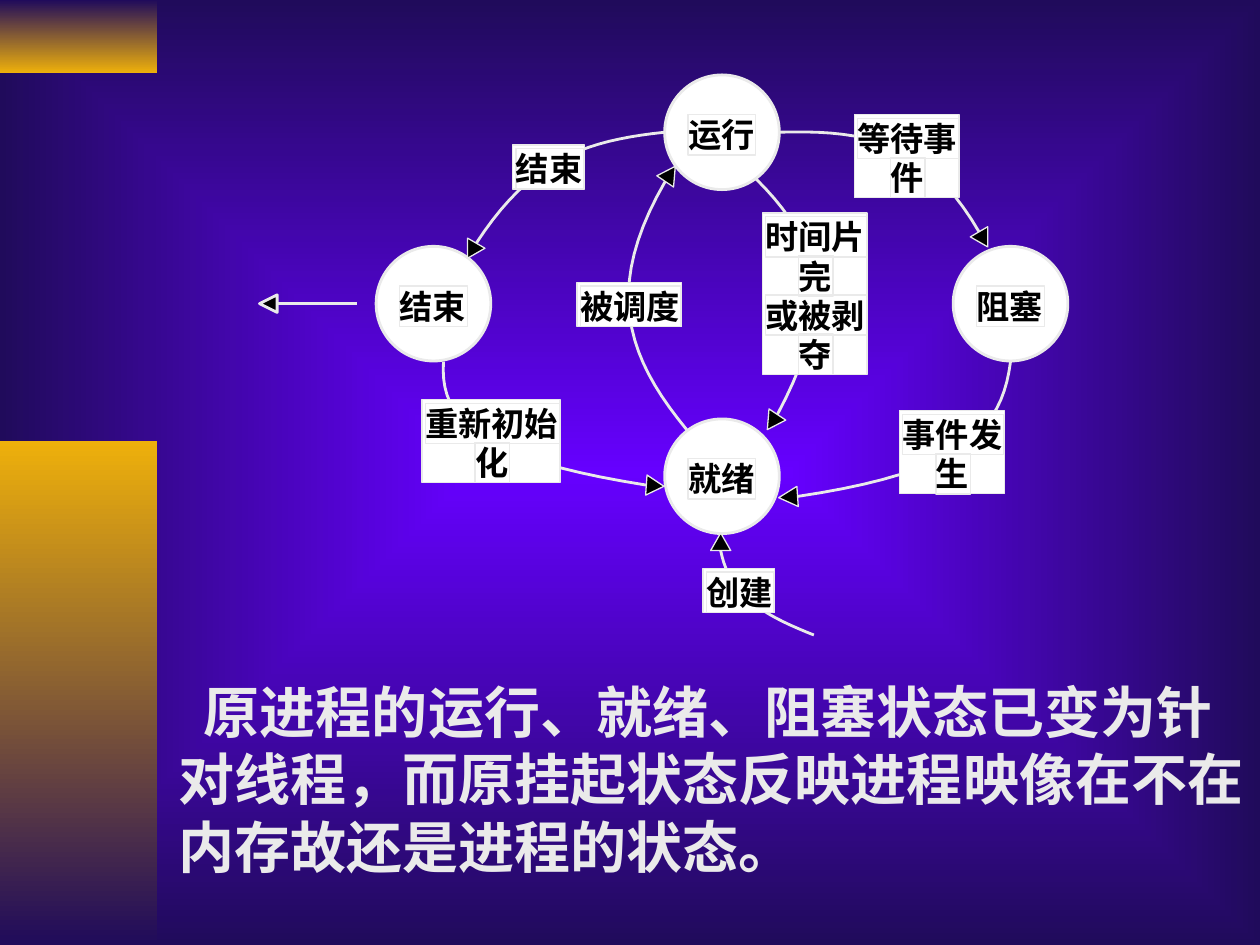
from math import hypot

from lxml.etree import SubElement
from pptx import Presentation
from pptx.dml.color import RGBColor
from pptx.enum.shapes import MSO_CONNECTOR, MSO_SHAPE
from pptx.enum.text import MSO_ANCHOR, MSO_AUTO_SIZE, PP_ALIGN
from pptx.oxml.ns import qn
from pptx.util import Inches, Pt

VIOLET = RGBColor(0x66, 0x00, 0xFF)
NAVY = RGBColor(0x20, 0x0B, 0x5B)
GOLD = RGBColor(0xEE, 0xB0, 0x0B)
PALE = RGBColor(0xEA, 0xEA, 0xEA)
WHITE = RGBColor(0xFF, 0xFF, 0xFF)
BLACK = RGBColor(0x00, 0x00, 0x00)

STATES = [("运行", 5.73, 1.05), ("就绪", 5.73, 3.78), ("结束", 3.44, 2.41), ("阻塞", 8.02, 2.41)]

TRANSITIONS = [
    (["结束"], (4.07, 1.15),
     [(5.27, 1.05), (4.7, 1.16), (4.22, 1.42), (3.78, 1.93)], (3.71, 2.05)),
    (["被调度"], (4.58, 2.24),
     [(5.45, 3.41), (5.08, 2.82), (5, 2.19), (5.28, 1.44)], (5.36, 1.32)),
    (["时间片", "完", "或被剥", "夺"], (6.05, 1.69),
     [(6, 1.42), (6.38, 1.94), (6.45, 2.53), (6.17, 3.29)], (6.09, 3.41)),
    (["等待事", "件"], (6.78, 0.91),
     [(6.18, 1.05), (6.83, 1.09), (7.34, 1.32), (7.77, 1.84)], (7.84, 1.96)),
    (["事件发", "生"], (7.14, 3.26),
     [(8.02, 2.87), (7.84, 3.35), (7.33, 3.7), (6.33, 3.94)], (6.18, 3.95)),
    (["重新初始", "化"], (3.35, 3.17),
     [(3.52, 2.87), (3.63, 3.29), (4.12, 3.61), (5.13, 3.85)], (5.27, 3.86)),
    (["创建"], (5.58, 4.51),
     [(6.46, 5.04), (6.08, 4.86), (5.84, 4.65), (5.72, 4.37)], (5.72, 4.23)),
]

SUMMARY = "原进程的运行、就绪、阻塞状态已变为针对线程，而原挂起状态反映进程映像在不在内存故还是进程的状态。"


def cubic_through(points, steps=20):
    """Sample the cubic that meets four points at equal parameter steps."""
    samples = []
    for step in range(steps + 1):
        t = 3 * step / steps
        weights = [
            (1 - t) * (2 - t) * (3 - t) / 6,
            t * (2 - t) * (3 - t) / 2,
            t * (t - 1) * (3 - t) / 2,
            t * (t - 1) * (t - 2) / 6,
        ]
        samples.append(tuple(sum(w * p[axis] for w, p in zip(weights, points)) for axis in (0, 1)))
    return samples


class StateDiagram:
    """Draws the parts of a state diagram on one slide in one style."""

    font = "Noto Sans CJK SC"
    text_size = 19
    glyph = Pt(text_size).inches
    slack = 0.01
    line_height = 0.32
    pitch = 0.31
    thin = 0.75
    thick = 1.62

    def __init__(self, slide):
        self.slide = slide
        self.shapes = slide.shapes

    def outline(self, shape, weight):
        shape.line.color.rgb = PALE
        shape.line.width = Pt(weight)

    def gradient(self, fill, first, last):
        fill.gradient()
        for stop, color in zip(fill.gradient_stops, (first, last)):
            stop.color.rgb = color

    def background(self, centre, edge):
        self.gradient(self.slide.background.fill, centre, edge)
        linear = next(self.slide.element.iter(qn("a:lin")))
        gradient = linear.getparent()
        gradient.remove(linear)
        radial = SubElement(gradient, qn("a:path"), path="rect")
        SubElement(radial, qn("a:fillToRect"), l="50000", t="50000", r="50000", b="50000")

    def preset(self, kind, left, top, width, height):
        shape = self.shapes.add_shape(
            kind, Inches(left), Inches(top), Inches(width), Inches(height))
        shape.shadow.inherit = False
        return shape

    def bar(self, top, height, first, last):
        bar = self.preset(MSO_SHAPE.RECTANGLE, 0, top, 1.25, height)
        bar.line.fill.background()
        self.gradient(bar.fill, first, last)
        bar.fill.gradient_angle = 270

    def panel(self, kind, left, top, width, height, weight):
        panel = self.preset(kind, left, top, width, height)
        panel.fill.solid()
        panel.fill.fore_color.rgb = WHITE
        self.outline(panel, weight)

    def style(self, paragraph, size, color):
        font = paragraph.font
        font.name, font.size, font.bold = self.font, Pt(size), True
        font.color.rgb = color
        defaults = paragraph._p.pPr.find(qn("a:defRPr"))
        SubElement(defaults, qn("a:ea"), typeface=self.font)

    def caption(self, text, centre, top):
        width = self.glyph * len(text) + self.slack
        box = self.preset(
            MSO_SHAPE.RECTANGLE, centre - width / 2, top, width, self.line_height)
        box.fill.background()
        self.outline(box, self.thin)
        frame = box.text_frame
        frame.margin_left = frame.margin_right = frame.margin_top = frame.margin_bottom = 0
        frame.vertical_anchor = MSO_ANCHOR.TOP
        frame.word_wrap = False
        frame.auto_size = MSO_AUTO_SIZE.SHAPE_TO_FIT_TEXT
        frame.text = text
        paragraph = frame.paragraphs[0]
        paragraph.alignment = PP_ALIGN.LEFT
        self.style(paragraph, self.text_size, BLACK)

    def state(self, name, x, y, diameter=0.91):
        radius = diameter / 2
        self.panel(MSO_SHAPE.OVAL, x - radius, y - radius, diameter, diameter, self.thick)
        self.caption(name, x, y - 0.14)

    def label(self, lines, left, top):
        width = self.glyph * len(lines[0]) + 0.04
        height = 0.35 + self.pitch * (len(lines) - 1)
        self.panel(MSO_SHAPE.RECTANGLE, left, top, width, height, self.thin)
        for row, line in enumerate(lines):
            self.caption(line, left + width / 2 + 0.01, top + 0.03 + row * self.pitch)

    def freeform(self, points, weight, close):
        (x, y), *rest = [(Inches(px), Inches(py)) for px, py in points]
        builder = self.shapes.build_freeform(x, y)
        builder.add_line_segments(rest, close=close)
        shape = builder.convert_to_shape()
        shape.shadow.inherit = False
        self.outline(shape, weight)
        return shape

    def curve(self, points):
        self.freeform(cubic_through(points), self.thick, False).fill.background()

    def head(self, base, tip, half, weight):
        dx, dy = tip[0] - base[0], tip[1] - base[1]
        scale = half / hypot(dx, dy)
        across, down = -dy * scale, dx * scale
        corners = [(base[0] + across, base[1] + down), tip, (base[0] - across, base[1] - down)]
        arrowhead = self.freeform(corners, weight, True)
        arrowhead.fill.solid()
        arrowhead.fill.fore_color.rgb = BLACK

    def transition(self, lines, corner, route, tip):
        self.curve(route)
        self.head(route[-1], tip, 0.08, self.thin)
        self.label(lines, *corner)

    def exit(self, tip, base, start):
        self.head(base, tip, 0.07, self.thick)
        shaft = self.shapes.add_connector(
            MSO_CONNECTOR.STRAIGHT, *(Inches(value) for value in (*base, *start)))
        self.outline(shaft, self.thick)
        SubElement(shaft._element.spPr, qn("a:effectLst"))

    def summary(self, text):
        box = self.shapes.add_textbox(Inches(1.32), Inches(5.33), Inches(8.68), Inches(1.7))
        frame = box.text_frame
        frame.word_wrap = True
        frame.auto_size = MSO_AUTO_SIZE.SHAPE_TO_FIT_TEXT
        frame.text = text
        paragraph = frame.paragraphs[0]
        paragraph._p.get_or_add_pPr().set("indent", str(Inches(0.2)))
        self.style(paragraph, 32, PALE)


def main():
    deck = Presentation()
    deck.slide_width, deck.slide_height = Inches(10), Inches(7.5)
    diagram = StateDiagram(deck.slides.add_slide(deck.slide_layouts[6]))
    diagram.background(VIOLET, NAVY)
    diagram.bar(0, 0.58, NAVY, GOLD)
    diagram.bar(3.5, 4, GOLD, NAVY)
    for state in STATES:
        diagram.state(*state)
    for transition in TRANSITIONS:
        diagram.transition(*transition)
    diagram.exit((2.06, 2.41), (2.2, 2.41), (2.83, 2.41))
    diagram.summary(SUMMARY)
    deck.save("out.pptx")


if __name__ == "__main__":
    main()
